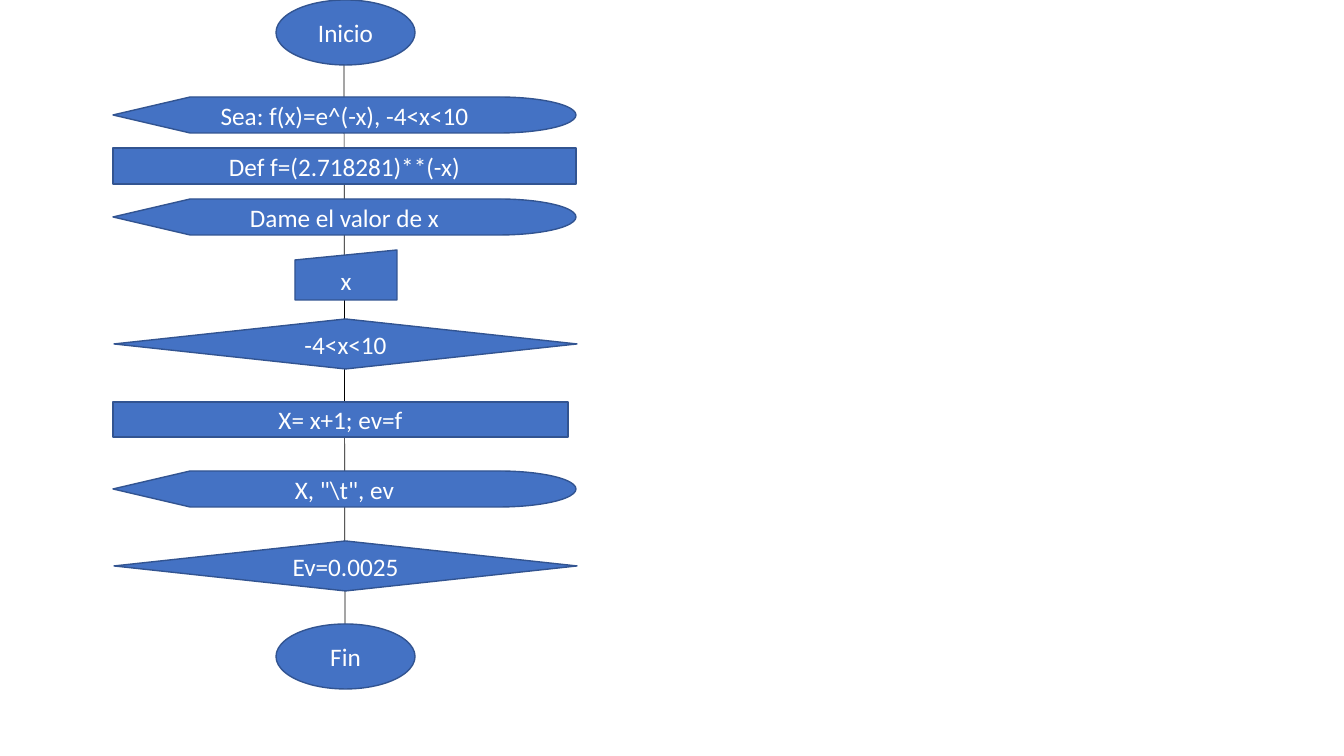
from lxml.etree import SubElement
from pptx import Presentation
from pptx.dml.color import RGBColor
from pptx.enum.shapes import MSO_CONNECTOR, MSO_SHAPE
from pptx.enum.text import MSO_ANCHOR, PP_ALIGN
from pptx.oxml.ns import qn
from pptx.util import Pt

EMU_PER_PIXEL = 914400 / 100.8
COLORS = {"fill": "4472C4", "outline": "325491", "text": "FFFFFF", "flow": "000000"}

# Usual left, width and height of each kind of step
TERMINAL = (MSO_SHAPE.OVAL, 276, 139, 65)
DISPLAY = (MSO_SHAPE.FLOWCHART_DISPLAY, 113, 463, 36)
PROCESS = (MSO_SHAPE.FLOWCHART_PROCESS, 113, 463, 36)
SHORT_PROCESS = (MSO_SHAPE.FLOWCHART_PROCESS, 113, 455, 35)
INPUT = (MSO_SHAPE.FLOWCHART_MANUAL_INPUT, 295, 102, 50)
DECISION = (MSO_SHAPE.FLOWCHART_DECISION, 114, 463, 50)

# Steps from start to end: kind, top, wording
STEPS = [
    (TERMINAL, 0, "Inicio"),
    (DISPLAY, 97, "Sea: f(x)=e^(-x), -4<x<10"),
    (PROCESS, 148, "Def f=(2.718281)**(-x)"),
    (DISPLAY, 199, "Dame el valor de x"),
    (INPUT, 250, "x"),
    (DECISION, 319, "-4<x<10"),
    (SHORT_PROCESS, 402, "X= x+1; ev=f"),
    (DISPLAY, 471, 'X, "\\t", ev'),
    (DECISION, 541, "Ev=0.0025"),
    (TERMINAL, 624, "Fin"),
]


def px(pixels):
    return round(pixels * EMU_PER_PIXEL)


def color(name):
    return RGBColor.from_string(COLORS[name])


def add_flow_line(page, start, end):
    line = page.shapes.add_connector(MSO_CONNECTOR.STRAIGHT, *map(px, start + end))
    line.line.color.rgb = color("flow")
    line.line.width = Pt(0.5)
    SubElement(line.line._get_or_add_ln(), qn("a:tailEnd"), type="triangle")
    SubElement(line._element.spPr, qn("a:effectLst"))


def add_step(page, kind, top, wording):
    preset, left, width, height = kind
    box = page.shapes.add_shape(preset, px(left), px(top), px(width), px(height))
    box.shadow.inherit = False
    box.fill.solid()
    box.fill.fore_color.rgb = color("fill")
    box.line.color.rgb = color("outline")
    box.line.width = Pt(1)

    frame = box.text_frame
    frame.text = wording
    frame.word_wrap = True
    frame.vertical_anchor = MSO_ANCHOR.MIDDLE
    para = frame.paragraphs[0]
    para.alignment = PP_ALIGN.CENTER
    font = para.runs[0].font
    font.name = "Calibri"
    font.size = Pt(18)
    font.color.rgb = color("text")


def main():
    deck = Presentation()
    deck.slide_width, deck.slide_height = px(1344), px(756)
    page = deck.slides.add_slide(deck.slide_layouts[6])

    # One line runs behind all the steps
    add_flow_line(page, (344, 64), (345, 646))
    for kind, top, wording in STEPS:
        add_step(page, kind, top, wording)

    deck.save("out.pptx")


main()
